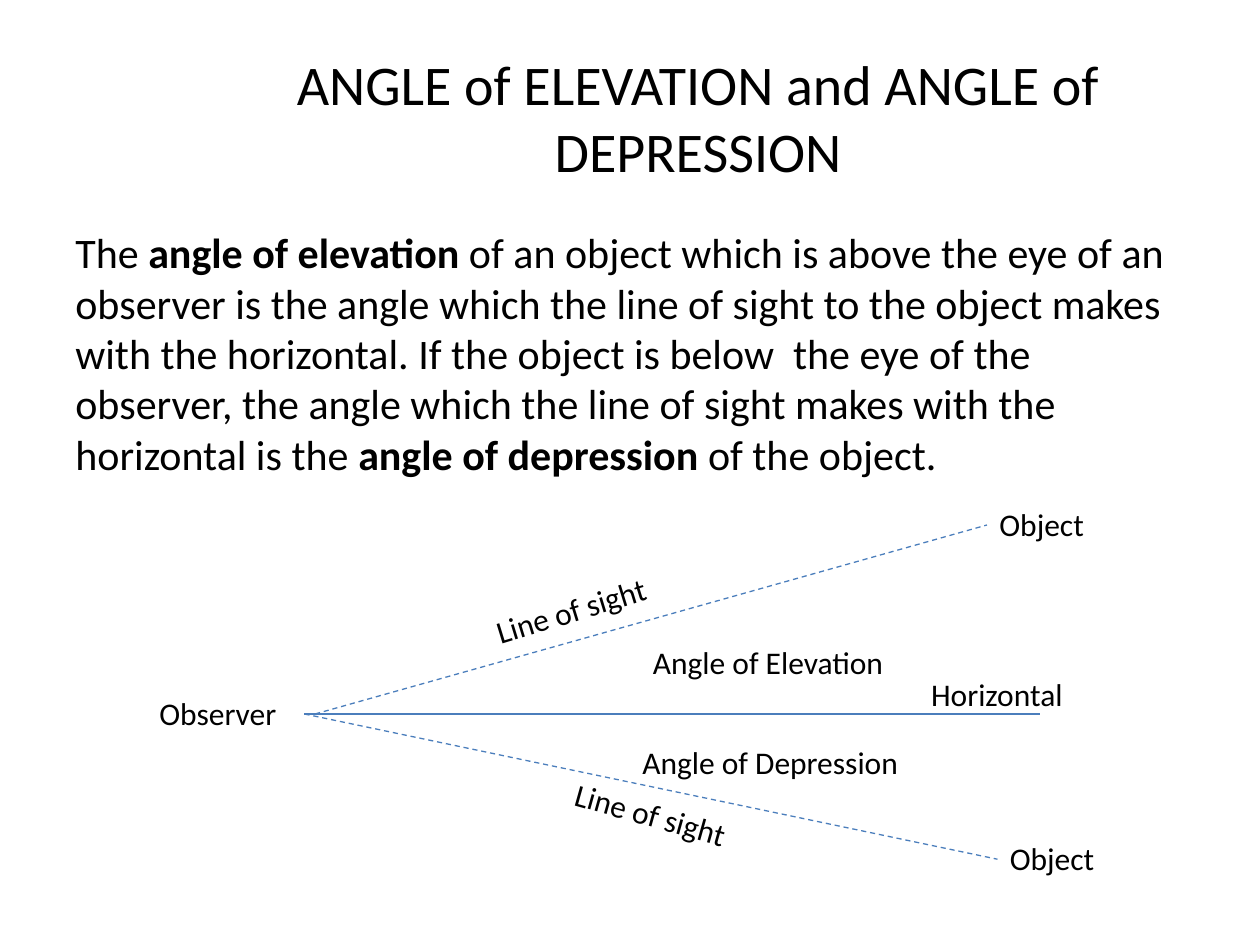
"""Build a slide that explains angles of elevation and depression."""
from lxml.etree import SubElement
from pptx import Presentation
from pptx.dml.color import RGBColor
from pptx.enum.dml import MSO_LINE
from pptx.enum.shapes import MSO_CONNECTOR
from pptx.enum.text import MSO_ANCHOR, PP_ALIGN
from pptx.oxml.ns import qn
from pptx.util import Pt

COLORS = {"text": "000000", "line": "4B7EBC"}
LEFT_SIDE = 1

deck = Presentation()
deck.slide_width, deck.slide_height = Pt(720), Pt(540)
page = deck.slides.add_slide(deck.slide_layouts[6])


def add_text(place, spans, wrap=True, rotation=0):
    box = page.shapes.add_textbox(*map(Pt, place))
    box.rotation = rotation
    box.text_frame.word_wrap = wrap
    para = box.text_frame.paragraphs[0]
    for text, size, bold in spans:
        span = para.add_run()
        span.text = text
        span.font.name = "Calibri"
        span.font.size = Pt(size)
        span.font.bold = bold
        span.font.color.rgb = RGBColor.from_string(COLORS["text"])
    return box


def add_line(start, end, dash=None):
    line = page.shapes.add_connector(MSO_CONNECTOR.STRAIGHT, *map(Pt, start + end))
    line.line.color.rgb = RGBColor.from_string(COLORS["line"])
    line.line.width = Pt(0.75)
    line.line.dash_style = dash
    SubElement(line._element.spPr, qn("a:effectLst"))
    return line


title = add_text((114, 21.6, 570, 90), [("ANGLE of ELEVATION and ANGLE of DEPRESSION", 32, False)])
title.text_frame.vertical_anchor = MSO_ANCHOR.MIDDLE
title.text_frame.paragraphs[0].alignment = PP_ALIGN.CENTER

add_text((36, 126, 648, 396), [
    ("The ", 24, False),
    ("angle of elevation ", 24, True),
    ("of an object which is above the eye of an observer is the angle which "
     "the line of sight to the object makes with the horizontal. If the object "
     "is below  the eye of the observer, the angle which the line of sight "
     "makes with the horizontal is the ", 24, False),
    ("angle of depression", 24, True),
    (" of the object.", 24, False),
])

add_line((174, 408), (594, 408))
for start, corner in [((180, 408), (564, 279)), ((174, 408), (570, 470))]:
    target = add_text(corner + (84, 42), [("Object", 18, False), (" ", 24, False)])
    sight = add_line(start, (corner[0], corner[1] + 21), MSO_LINE.DASH)
    sight.end_connect(target, LEFT_SIDE)

add_text((84, 387, 108, 42), [("Observer", 18, False), (" ", 24, False)])

for place, rotation in [((275, 334, 104, 29), 342.9), ((320.5, 451, 104, 29), 15.7)]:
    add_text(place, [("Line of sight", 18, False)], wrap=False, rotation=rotation)

for label, place in [
    ("Horizontal", (525, 382, 138, 42)),
    ("Angle of Elevation", (366, 364, 162, 27)),
    ("Angle of Depression", (360, 421, 174, 42)),
]:
    add_text(place, [(label, 18, False)])

deck.save("out.pptx")
